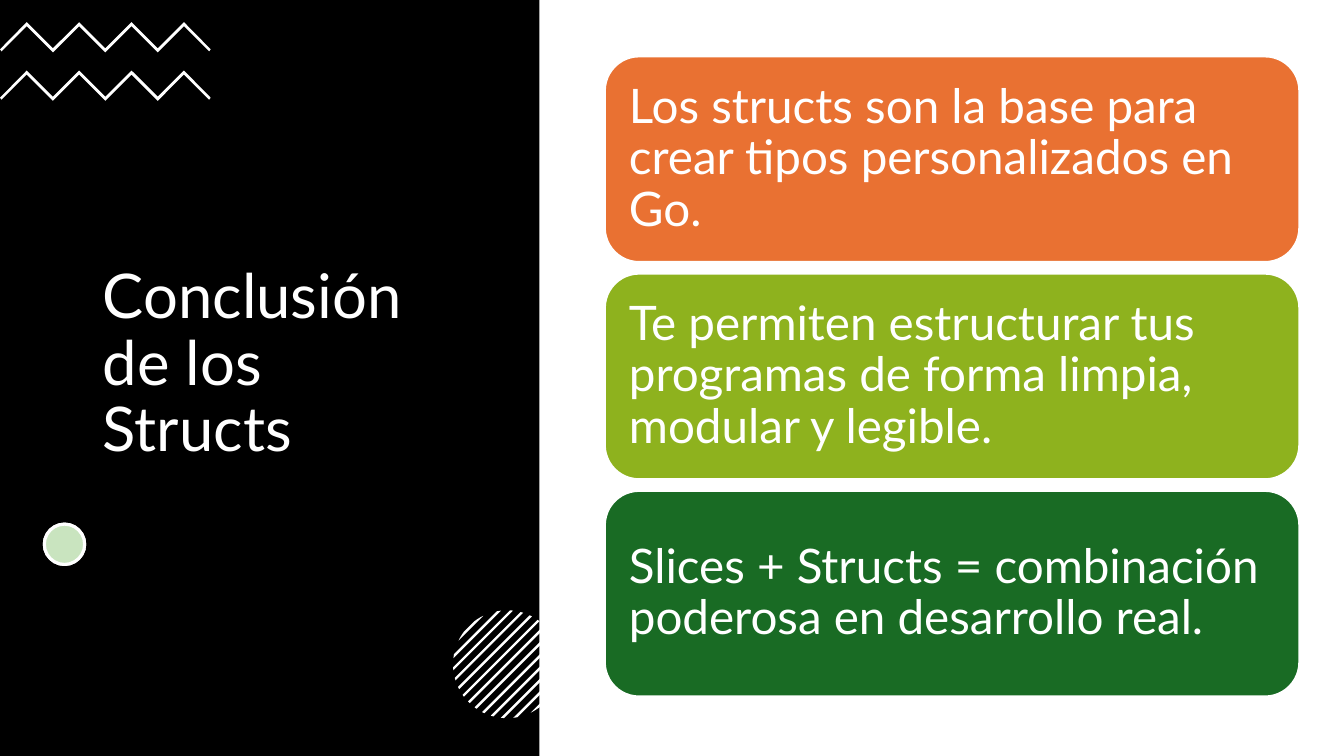
from math import sqrt

from lxml import etree
from pptx import Presentation
from pptx.dml.color import RGBColor
from pptx.enum.shapes import MSO_SHAPE
from pptx.enum.text import MSO_ANCHOR, MSO_AUTO_SIZE, PP_ALIGN
from pptx.oxml.ns import qn
from pptx.util import Inches, Pt

RECTANGLE = MSO_SHAPE.RECTANGLE
ROUNDED = MSO_SHAPE.ROUNDED_RECTANGLE
OVAL = MSO_SHAPE.OVAL
MIDDLE = MSO_ANCHOR.MIDDLE
LEFT = PP_ALIGN.LEFT
NO_AUTOFIT = MSO_AUTO_SIZE.NONE

FONT = "Lato"
COLORS = {
    "black": "000000",
    "white": "FFFFFF",
    "dot": "4EA72E",
    "orange": "E97132",
    "lime": "8EB21E",
    "green": "196B24",
}

TITLE = "Conclusión de los Structs"
CARDS = [
    ("Los structs son la base para crear tipos personalizados en Go.", "orange"),
    ("Te permiten estructurar tus programas de forma limpia, modular y legible.", "lime"),
    ("Slices + Structs = combinación poderosa en desarrollo real.", "green"),
]

# Lengths below are in inches
CARD_LEFT, CARD_TOP, CARD_WIDTH, CARD_HEIGHT, CARD_PITCH = 6, 0.56, 6.89, 2.04, 2.155
CARD_MARGIN = 0.14
ZIGZAG_TOPS = [0.22, 0.70]
ZIGZAG_STEP, ZIGZAG_RISE, ZIGZAG_THICKNESS, ZIGZAG_TRIM = 0.26, 0.26, 0.04, 0.01
DISC_X, DISC_Y, DISC_RADIUS = 5.03, 6.59, 0.535
STRIPE_COUNT, STRIPE_PITCH, STRIPE_THICKNESS = 13, 0.0863, 0.024
ARC_STEPS = 6


def rgb(name):
    return RGBColor.from_string(COLORS[name])


def paint(shape, fill, line=None, line_width=0):
    shape.shadow.inherit = False
    shape.fill.solid()
    shape.fill.fore_color.rgb = rgb(fill)
    if line:
        shape.line.color.rgb = rgb(line)
        shape.line.width = Pt(line_width)
    else:
        shape.line.fill.background()


def add_preset(slide, kind, box, fill, line=None, line_width=0):
    shape = slide.shapes.add_shape(kind, *[Inches(length) for length in box])
    paint(shape, fill, line, line_width)
    return shape


def add_polygon(slide, points, fill):
    vertices = [(Inches(x), Inches(y)) for x, y in points]
    builder = slide.shapes.build_freeform(*vertices[0])
    builder.add_line_segments(vertices[1:], close=True)
    paint(builder.convert_to_shape(), fill)


def write(shape, text, size, margins):
    frame = shape.text_frame
    frame.word_wrap = True
    frame.auto_size = NO_AUTOFIT
    frame.vertical_anchor = MIDDLE
    frame.margin_left = frame.margin_right = Inches(margins[0])
    frame.margin_top = frame.margin_bottom = Inches(margins[1])
    paragraph = frame.paragraphs[0]
    paragraph.alignment = LEFT
    paragraph.line_spacing = 0.9
    run = paragraph.add_run()
    run.text = text
    run.font.name = FONT
    run.font.size = Pt(size)
    run.font.color.rgb = rgb("white")


def zigzag_points(top):
    """Outline of a band with four peaks, its two ends cut square."""
    ends = (0, 8)
    upper, lower = [], []
    for index in range(9):
        x = 0.005 + index * ZIGZAG_STEP
        y = top + (0 if index % 2 else ZIGZAG_RISE)
        if index in ends:
            outward = -1 if index == 0 else 1
            upper.append((x + outward * ZIGZAG_TRIM / 2, y + ZIGZAG_TRIM))
            lower.append((x - outward * ZIGZAG_TRIM, y + ZIGZAG_THICKNESS - ZIGZAG_TRIM))
        else:
            upper.append((x, y))
            lower.append((x, y + ZIGZAG_THICKNESS))
    return upper + lower[::-1]


def stripe_points(distance):
    """Outline of a diagonal stripe, clipped by the disc, at a distance from its centre."""
    right, left = [], []
    for step in range(ARC_STEPS + 1):
        across = distance + STRIPE_THICKNESS * (step / ARC_STEPS - 0.5)
        along = sqrt(max(DISC_RADIUS ** 2 - across ** 2, 0))
        for side, sign in ((right, 1), (left, -1)):
            side.append((DISC_X + (across + sign * along) / sqrt(2),
                         DISC_Y + (across - sign * along) / sqrt(2)))
    return right + left[::-1]


def main():
    presentation = Presentation()
    presentation.slide_width = Inches(13.333)
    presentation.slide_height = Inches(7.5)
    slide = presentation.slides.add_slide(presentation.slide_layouts[5])

    title = slide.shapes.title
    title.left, title.top = Inches(0.92), Inches(1.31)
    title.width, title.height = Inches(3.5), Inches(4.63)
    write(title, TITLE, 44, (0.1, 0.05))

    panel = add_preset(slide, RECTANGLE, (0, 0, 5.35, 7.5), "black")
    title.element.addprevious(panel.element)

    for top in ZIGZAG_TOPS:
        add_polygon(slide, zigzag_points(top), "white")

    dot_box = (0.44, 5.2, 0.4, 0.4)
    add_preset(slide, OVAL, dot_box, "white", "white", 2.25)
    tint = add_preset(slide, OVAL, dot_box, "dot", "white", 2.25)
    tint_color = tint.element.spPr.find(qn("a:solidFill")).find(qn("a:srgbClr"))
    etree.SubElement(tint_color, qn("a:alpha")).set("val", "30000")

    for index in range(STRIPE_COUNT):
        distance = (index - STRIPE_COUNT // 2) * STRIPE_PITCH
        add_polygon(slide, stripe_points(distance), "white")

    for index, (text, color) in enumerate(CARDS):
        box = (CARD_LEFT, CARD_TOP + index * CARD_PITCH, CARD_WIDTH, CARD_HEIGHT)
        card = add_preset(slide, ROUNDED, box, color, "white", 1.5)
        write(card, text, 34, (CARD_MARGIN, CARD_MARGIN))

    presentation.save("out.pptx")


if __name__ == "__main__":
    main()
